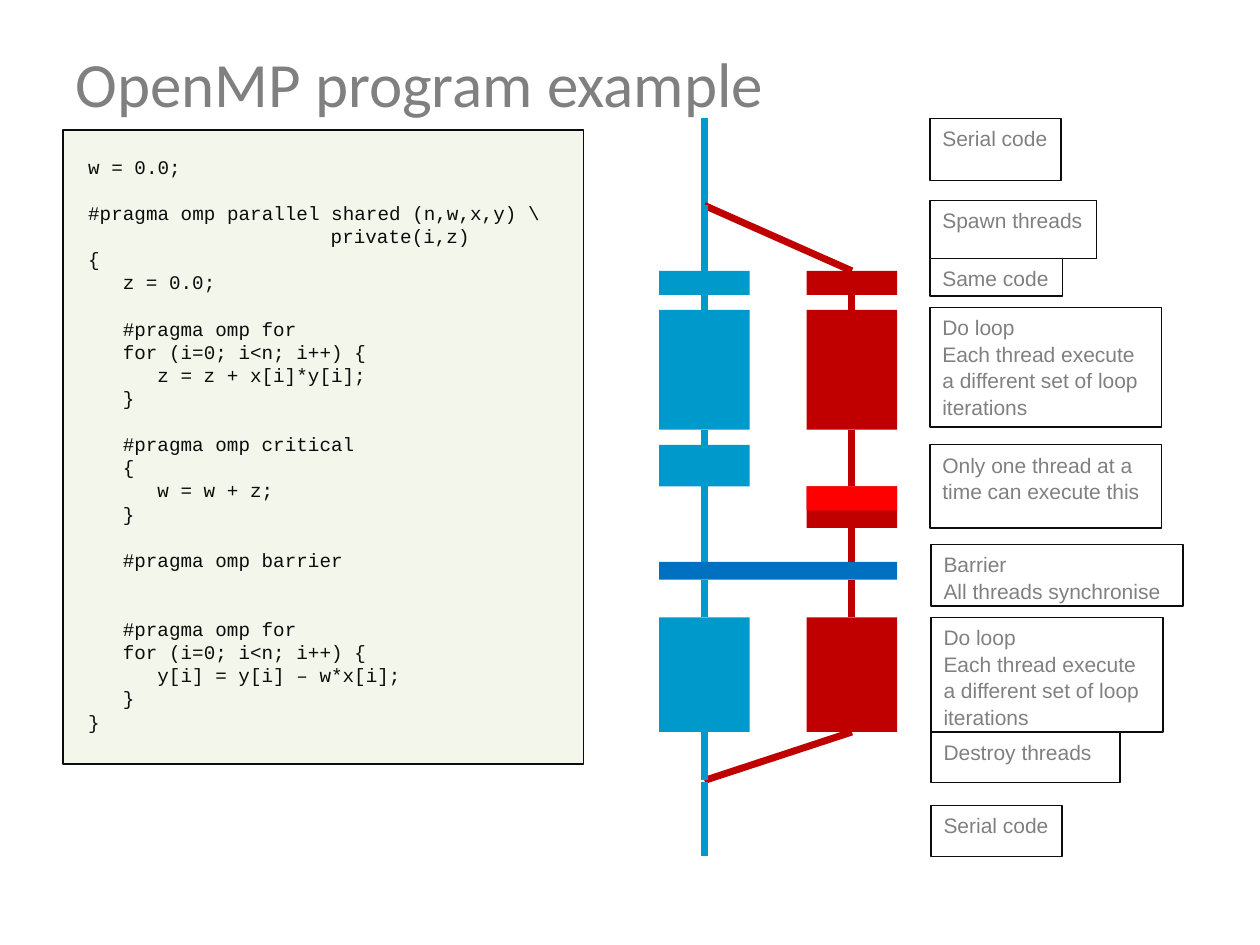
from dataclasses import dataclass

from lxml import etree
from pptx import Presentation
from pptx.dml.color import RGBColor
from pptx.enum.shapes import MSO_CONNECTOR, MSO_SHAPE
from pptx.enum.text import MSO_ANCHOR, PP_ALIGN
from pptx.oxml.ns import qn
from pptx.util import Pt

RECTANGLE = MSO_SHAPE.RECTANGLE
STRAIGHT = MSO_CONNECTOR.STRAIGHT
TOP, MIDDLE = MSO_ANCHOR.TOP, MSO_ANCHOR.MIDDLE
LEFT = PP_ALIGN.LEFT
TOP_SIDE, BOTTOM_SIDE = 0, 2

COLORS = {
    "main": "0099CC", "worker": "C00000", "waiting": "FF0000",
    "barrier": "0070C0", "grey": "808080", "ink": "0C0C0C", "code": "F3F7EB",
}
MAIN_X, WORKER_X = 402.5, 486.8  # thread centre lines
BAR_WIDTH = 51.8
FORK_Y, JOIN_Y = 117.4, 446
BARRIER_Y, BARRIER_HEIGHT = 321.1, 10.1
CHAR_WIDTH, CODE_LINE = 6.6, 13.2


@dataclass
class Block:
    """A stretch of work done by one thread."""
    color: str
    center: float
    top: float
    height: float


@dataclass
class Label:
    text: str
    left: float
    top: float
    width: float
    height: float
    wrap: bool = False


@dataclass
class CodeLine:
    text: str
    indent: int = 0  # in characters
    gap: int = 0     # empty lines above


LOOP_TEXT = "Do loop\nEach thread execute\na different set of loop iterations"
LABELS = [
    Label("Serial code", 531.4, 67.7, 74.9, 35.3),
    Label("Spawn threads", 531.4, 114.5, 95, 33.1),
    Label("Same code", 531.4, 147.6, 75.6, 21.6),
    Label(LOOP_TEXT, 531.4, 175.7, 132.5, 68.4, True),
    Label("Only one thread at a time can execute this", 531.4, 254.2, 132.5, 47.5, True),
    Label("Barrier\nAll threads synchronise", 532.1, 311, 144, 35.3),
    Label(LOOP_TEXT, 532.1, 352.8, 132.5, 65.5, True),
    Label("Destroy threads", 532.1, 418.3, 108, 28.8),
    Label("Serial code", 532.1, 460.1, 74.9, 29.5),
]
CODE = [
    CodeLine("w = 0.0;"),
    CodeLine("#pragma omp parallel shared (n,w,x,y) \\", gap=1),
    CodeLine("private(i,z)", 21),
    CodeLine("{"),
    CodeLine("z = 0.0;", 3),
    CodeLine("#pragma omp for", 3, 1),
    CodeLine("for (i=0; i<n; i++) {", 3),
    CodeLine("z = z + x[i]*y[i];", 6),
    CodeLine("}", 3),
    CodeLine("#pragma omp critical", 3, 1),
    CodeLine("{", 3),
    CodeLine("w = w + z;", 6),
    CodeLine("}", 3),
    CodeLine("#pragma omp barrier", 3, 1),
    CodeLine("#pragma omp for", 3, 2),
    CodeLine("for (i=0; i<n; i++) {", 3),
    CodeLine("y[i] = y[i] – w*x[i];", 6),
    CodeLine("}", 3),
    CodeLine("}"),
]


def rgb(color: str) -> RGBColor:
    return RGBColor.from_string(COLORS[color])


def style(para, font: str, size: float, color: str) -> None:
    para.alignment = LEFT
    para.font.name = font
    para.font.size = Pt(size)
    para.font.color.rgb = rgb(color)


def add_box(page, left: float, top: float, width: float, height: float,
            fill: str = "", line: str = "", weight: float = 0.75):
    box = page.shapes.add_shape(RECTANGLE, Pt(left), Pt(top), Pt(width), Pt(height))
    box.shadow.inherit = False
    if fill:
        box.fill.solid()
        box.fill.fore_color.rgb = rgb(fill)
    else:
        box.fill.background()
    if line:
        box.line.color.rgb = rgb(line)
        box.line.width = Pt(weight)
    else:
        box.line.fill.background()
    box.text_frame.vertical_anchor = TOP
    return box


def add_block(page, block: Block):
    return add_box(page, block.center - BAR_WIDTH / 2, block.top,
                   BAR_WIDTH, block.height, block.color)


def add_line(page, color: str, start: tuple, end: tuple, above=None, below=None) -> None:
    """Draw a thread line, joined to the blocks above and below it, if any."""
    line = page.shapes.add_connector(STRAIGHT, *(Pt(value) for value in start + end))
    line.line.color.rgb = rgb(color)
    line.line.width = Pt(4)
    etree.SubElement(line._element.spPr, qn("a:effectLst"))
    if above is not None:
        line.begin_connect(above, BOTTOM_SIDE)
    if below is not None:
        line.end_connect(below, TOP_SIDE)


def add_thread(page, color: str, x: float, start: tuple, end: tuple,
               blocks: list[Block]) -> None:
    """Draw a thread's blocks and the lines that lead through them."""
    first, loop, critical, last = [add_block(page, block) for block in blocks]
    bottoms = [block.top + block.height for block in blocks]
    add_line(page, color, start, (x, blocks[0].top), below=first)
    add_line(page, color, (x, bottoms[0]), (x, blocks[1].top), first, loop)
    add_line(page, color, (x, bottoms[1]), (x, blocks[2].top), loop, critical)
    add_line(page, color, (x, bottoms[2]), (x, BARRIER_Y), above=critical)
    add_line(page, color, (x, BARRIER_Y + BARRIER_HEIGHT), (x, blocks[3].top), below=last)
    add_line(page, color, (x, bottoms[3]), end, above=last)


def thread_blocks(color: str, center: float, critical_top: float) -> list[Block]:
    spans = [(154.8, 13.7), (177.1, 68.4), (critical_top, 23.8), (352.8, 65.5)]
    return [Block(color, center, top, height) for top, height in spans]


def add_label(page, label: Label) -> None:
    box = add_box(page, label.left, label.top, label.width, label.height, line="ink")
    frame = box.text_frame
    frame.word_wrap = label.wrap
    frame.text = label.text
    for para in frame.paragraphs:
        style(para, "Arial", 12, "grey")
        para.line_spacing = 1.05


def add_code(page) -> None:
    box = add_box(page, 36, 74.2, 297.4, 362.2, "code", "ink", 1)
    frame = box.text_frame
    frame.word_wrap = True
    frame.margin_left = frame.margin_right = Pt(14.4)
    frame.margin_top = frame.margin_bottom = Pt(14.4)
    for index, code in enumerate(CODE):
        para = frame.add_paragraph() if index else frame.paragraphs[0]
        para.text = code.text
        style(para, "Courier New", 11, "ink")
        para.line_spacing = Pt(CODE_LINE)
        para.space_before = Pt(code.gap * CODE_LINE)
        para._p.get_or_add_pPr().set("marL", str(int(Pt(code.indent * CHAR_WIDTH))))


def main() -> None:
    deck = Presentation()
    deck.slide_width, deck.slide_height = Pt(720), Pt(540)
    page = deck.slides.add_slide(deck.slide_layouts[6])

    # Title
    title = page.shapes.add_textbox(Pt(36), Pt(13), Pt(569.5), Pt(68.4)).text_frame
    title.word_wrap = True
    title.vertical_anchor = MIDDLE
    title.text = "OpenMP program example"
    style(title.paragraphs[0], "Calibri", 36, "grey")

    add_code(page)

    # Threads: the worker forks from the main one and joins it again
    fork, join = (MAIN_X, FORK_Y), (MAIN_X, JOIN_Y)
    add_line(page, "main", (MAIN_X, 67.7), fork)
    add_thread(page, "worker", WORKER_X, fork, join,
               thread_blocks("worker", WORKER_X, 277.9))
    add_thread(page, "main", MAIN_X, fork, join, thread_blocks("main", MAIN_X, 254.2))
    add_line(page, "main", (MAIN_X, JOIN_Y + 1), (MAIN_X, 488.9))

    # Wait at the critical section, and the barrier across both threads
    add_block(page, Block("waiting", WORKER_X, 277.9, 13.7))
    add_box(page, MAIN_X - BAR_WIDTH / 2, BARRIER_Y,
            WORKER_X - MAIN_X + BAR_WIDTH, BARRIER_HEIGHT, "barrier")

    # Explanations
    for label in LABELS:
        add_label(page, label)

    deck.save("out.pptx")


if __name__ == "__main__":
    main()
